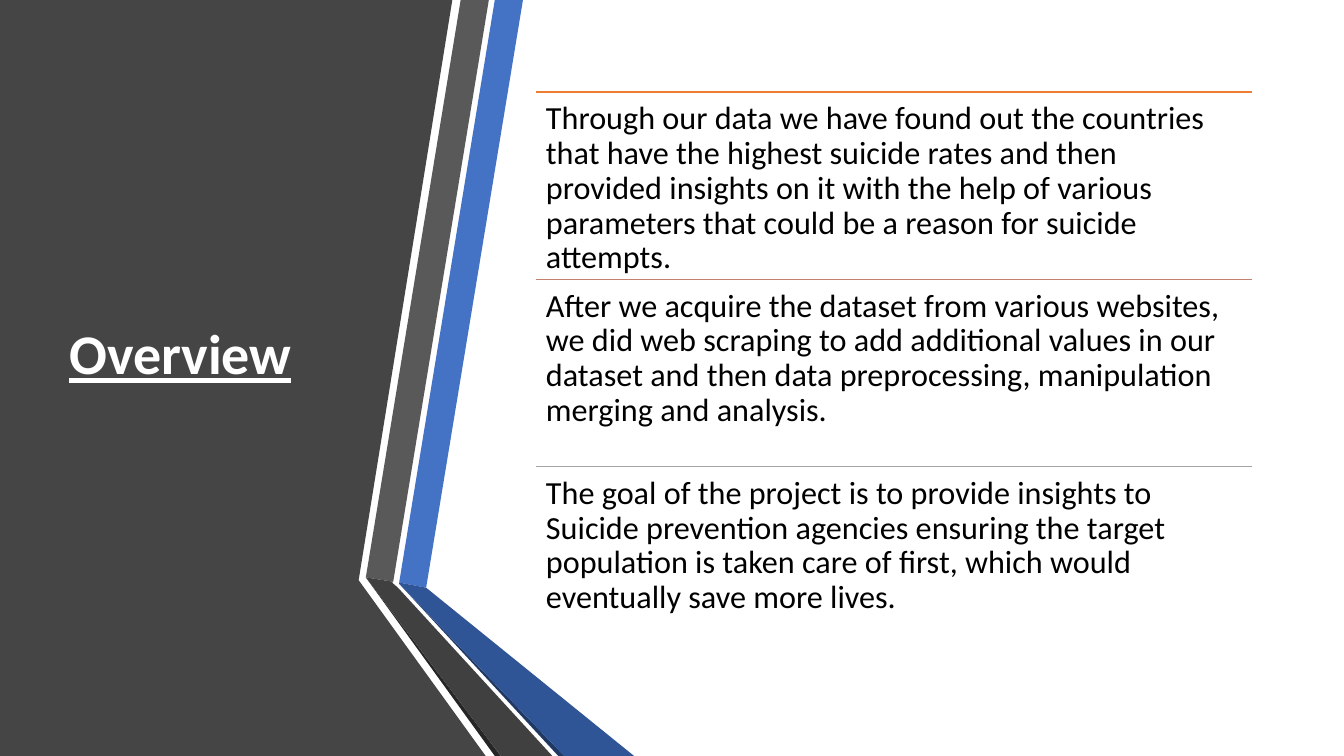
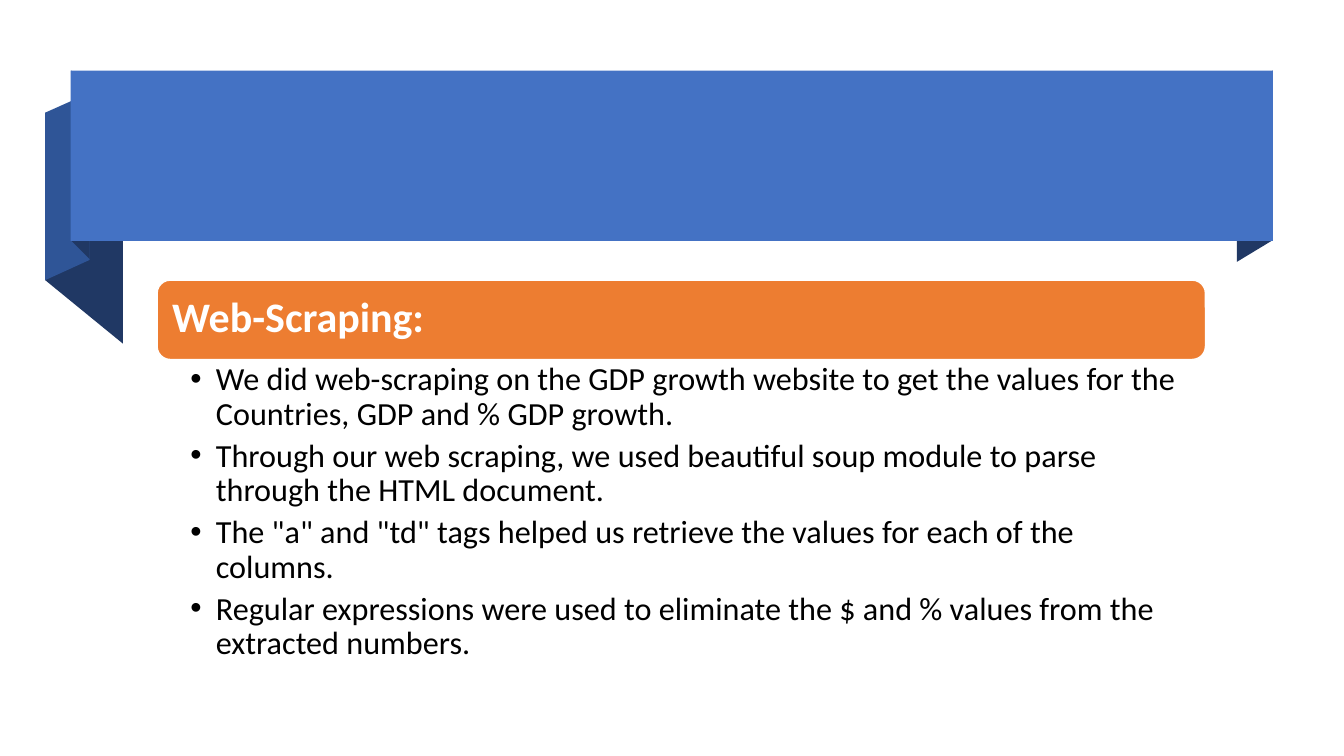
import pptx
import pptx.dml.color
import pptx.enum.shapes
import pptx.enum.text
import pptx.oxml.ns
import pptx.util
import lxml.etree

Cm = pptx.util.Cm
RGBColor = pptx.dml.color.RGBColor
Anchor = pptx.enum.text.MSO_ANCHOR
Preset = pptx.enum.shapes.MSO_SHAPE

WHITE = RGBColor(0xFF, 0xFF, 0xFF)
BLACK = RGBColor(0x00, 0x00, 0x00)
PANEL_GREY = RGBColor(0x45, 0x45, 0x45)
MID_GREY = RGBColor(0x59, 0x59, 0x59)
DARK_GREY = RGBColor(0x40, 0x40, 0x40)
EDGE_GREY = RGBColor(0x26, 0x26, 0x26)
BLUE = RGBColor(0x44, 0x72, 0xC4)
DARK_BLUE = RGBColor(0x2F, 0x55, 0x97)
NAVY = RGBColor(0x20, 0x38, 0x64)
ORANGE = RGBColor(0xED, 0x7D, 0x31)
ROSE = RGBColor(0xC4, 0x81, 0x70)
SILVER = RGBColor(0xA5, 0xA5, 0xA5)

SLIDE_WIDTH, SLIDE_HEIGHT = 33.87, 19.05
TITLE_ONLY, TITLE_AND_CONTENT = 5, 1


class Deck:
    """Holds the shared style and the current slide; all lengths are in centimetres."""

    font_name = "Calibri"
    body_size = 23
    line_spacing = 0.9

    def __init__(self):
        self.presentation = pptx.Presentation()
        self.presentation.slide_width = Cm(SLIDE_WIDTH)
        self.presentation.slide_height = Cm(SLIDE_HEIGHT)
        self.slide = None

    def add_slide(self, layout_index):
        layout = self.presentation.slide_layouts[layout_index]
        self.slide = self.presentation.slides.add_slide(layout)

    def paint(self, shape, fill, line=None):
        shape.shadow.inherit = False
        shape.fill.solid()
        shape.fill.fore_color.rgb = fill
        if line is None:
            shape.line.fill.background()
        else:
            shape.line.color.rgb = line
            shape.line.width = pptx.util.Pt(1)

    def polygon(self, fill, points):
        corners = [(Cm(x), Cm(y)) for x, y in points]
        builder = self.slide.shapes.build_freeform(*corners[0])
        builder.add_line_segments(corners[1:], close=True)
        self.paint(builder.convert_to_shape(), fill)

    def block(self, preset, box, fill, line=None):
        shape = self.slide.shapes.add_shape(preset, *map(Cm, box))
        self.paint(shape, fill, line)

    def rule(self, left, top, width, color):
        connector = self.slide.shapes.add_connector(
            pptx.enum.shapes.MSO_CONNECTOR.STRAIGHT,
            Cm(left), Cm(top), Cm(left + width), Cm(top))
        connector.line.color.rgb = color
        connector.line.width = pptx.util.Pt(1)
        properties = connector.element.spPr
        lxml.etree.SubElement(properties, pptx.oxml.ns.qn("a:effectLst"))

    def place(self, placeholder, box):
        """Move a placeholder to its box, in front of everything drawn so far."""
        placeholder.left, placeholder.top, placeholder.width, placeholder.height = map(Cm, box)
        element = placeholder.element
        element.getparent().append(element)

    def frame(self, shape, insets, anchor):
        frame = shape.text_frame
        frame.word_wrap = True
        frame.auto_size = pptx.enum.text.MSO_AUTO_SIZE.NONE
        frame.vertical_anchor = anchor
        (frame.margin_left, frame.margin_top,
         frame.margin_right, frame.margin_bottom) = map(Cm, insets)
        return frame

    def fill_paragraph(self, paragraph, text, size, color,
                       bold=False, underline=False, space_after=0):
        paragraph.alignment = pptx.enum.text.PP_ALIGN.LEFT
        paragraph.line_spacing = self.line_spacing
        paragraph.space_before = pptx.util.Pt(0)
        paragraph.space_after = pptx.util.Pt(space_after)
        run = paragraph.add_run()
        run.text = text
        run.font.name = self.font_name
        run.font.size = pptx.util.Pt(size)
        run.font.color.rgb = color
        run.font.bold = bold
        run.font.underline = underline

    def title(self, text, box, size, inset, underline=False):
        title = self.slide.shapes.title
        self.place(title, box)
        frame = self.frame(title, [inset] * 4, Anchor.MIDDLE)
        self.fill_paragraph(frame.paragraphs[0], text, size, WHITE,
                            bold=True, underline=underline)

    def text(self, text, box):
        shape = self.slide.shapes.add_textbox(*map(Cm, box))
        frame = self.frame(shape, [0.25] * 4, Anchor.TOP)
        self.fill_paragraph(frame.paragraphs[0], text, self.body_size, BLACK)

    def bullets(self, items, box, insets):
        body = self.slide.placeholders[1]
        self.place(body, box)
        frame = self.frame(body, insets, Anchor.TOP)
        hanging = Cm(0.64)
        for index, item in enumerate(items):
            paragraph = frame.add_paragraph() if index else frame.paragraphs[0]
            self.fill_paragraph(paragraph, item, self.body_size, BLACK, space_after=5)
            properties = paragraph._p.get_or_add_pPr()
            properties.set("marL", str(int(hanging)))
            properties.set("indent", str(-int(hanging)))

    def save(self):
        self.presentation.save("out.pptx")


def build_overview(deck):
    deck.add_slide(TITLE_ONLY)
    bottom = SLIDE_HEIGHT
    ribbons = [
        (PANEL_GREY, [(0, 0), (11.4, 0), (9.04, 14.62), (12.24, bottom), (0, bottom)]),
        (BLUE, [(10.06, 14.68), (10.74, 14.81), (13.18, 0), (12.47, 0)]),
        (MID_GREY, [(12.32, 0), (11.61, 0), (9.22, 14.55), (9.91, 14.66)]),
        (EDGE_GREY, [(9.22, 14.55), (12.47, bottom), (12.62, bottom)]),
        (NAVY, [(10.06, 14.71), (14.07, bottom), (14.22, bottom)]),
        (DARK_BLUE, [(10.06, 14.68), (10.06, 14.71), (14.22, bottom),
                     (15.98, bottom), (10.74, 14.81)]),
        (DARK_GREY, [(13.92, bottom), (10.03, 14.81), (9.88, 14.68), (9.91, 14.66),
                     (9.22, 14.55), (12.62, bottom)]),
    ]
    for color, points in ribbons:
        deck.polygon(color, points)
    deck.title("Overview", (1.5, 1.9, 7.72, 14.17), 40, 0.25, underline=True)

    left, top, width, row_height = 13.51, 2.32, 18.03, 4.72
    rows = [
        (ORANGE, "Through our data we have found out the countries that have the highest "
                 "suicide rates and then provided insights on it with the help of various "
                 "parameters that could be a reason for suicide attempts."),
        (ROSE, "After we acquire the dataset from various websites, we did web scraping to "
               "add additional values in our dataset and then data preprocessing, "
               "manipulation merging and analysis."),
        (SILVER, "The goal of the project is to provide insights to Suicide prevention "
                 "agencies ensuring the target population is taken care of first, which "
                 "would eventually save more lives."),
    ]
    for index, (color, text) in enumerate(rows):
        row_top = top + index * row_height
        deck.rule(left, row_top, width, color)
        deck.text(text, (left, row_top, width, row_height))


def build_web_scraping(deck):
    deck.add_slide(TITLE_AND_CONTENT)
    folds = [
        (NAVY, [(32.08, 6.05), (31.17, 6.6), (31.17, 2.31), (32.08, 1.78)]),
        (NAVY, [(3.1, 8.66), (1.14, 7.06), (1.14, 2.84), (3.1, 4.45)]),
        (DARK_BLUE, [(2.26, 6.55), (1.14, 7.06), (1.14, 2.84), (2.26, 2.34)]),
        (NAVY, [(2.26, 6.53), (1.8, 6.07), (1.8, 1.78), (2.26, 2.26)]),
    ]
    for color, points in folds:
        deck.polygon(color, points)
    deck.block(Preset.RECTANGLE, (1.78, 1.78, 30.3, 4.29), BLUE)
    deck.block(Preset.ROUNDED_RECTANGLE, (3.96, 7.06, 26.42, 2), ORANGE, WHITE)
    deck.title("Web-Scraping:", (4.04, 7.14, 26.21, 1.8), 30, 0.3)
    deck.bullets(
        ["We did web-scraping on the GDP growth website to get the values for the "
         "Countries, GDP and % GDP growth.",
         "Through our web scraping, we used beautiful soup module to parse through "
         "the HTML document.",
         "The \"a\" and \"td\" tags helped us retrieve the values for each of "
         "the columns.",
         "Regular expressions were used to eliminate the $ and % values from the "
         "extracted numbers."],
        (3.96, 9.04, 26.42, 8.1), (0.84, 0.1, 0.58, 0.1))


def main():
    deck = Deck()
    build_overview(deck)
    build_web_scraping(deck)
    deck.save()


if __name__ == "__main__":
    main()
